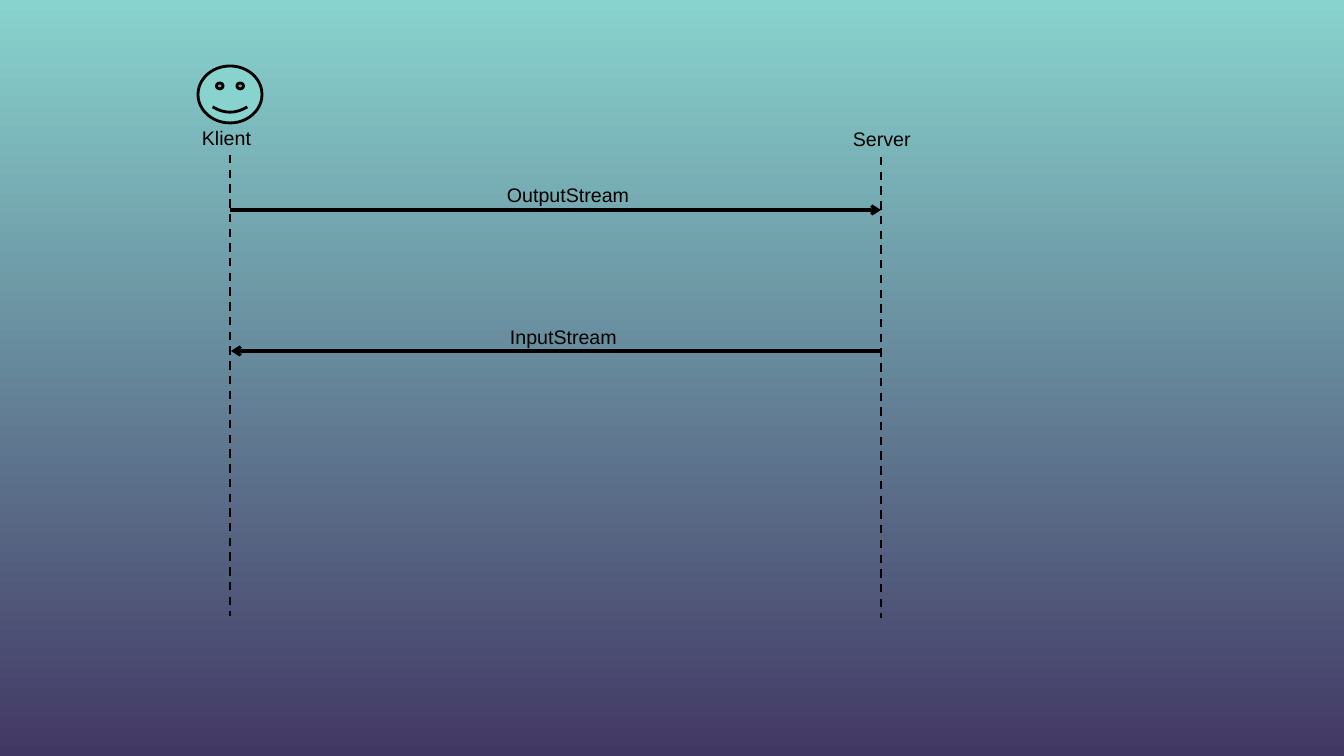
"""Sequence diagram of the streams between a client and a server."""
from dataclasses import dataclass

from pptx import Presentation
from pptx.dml.color import RGBColor
from pptx.enum.dml import MSO_LINE_DASH_STYLE as Dash
from pptx.enum.shapes import MSO_CONNECTOR as Connector, MSO_SHAPE as Preset
from pptx.enum.text import MSO_AUTO_SIZE as AutoSize
from pptx.oxml.ns import qn
from pptx.oxml.xmlchemy import OxmlElement
from pptx.shapes.connector import Connector as Line
from pptx.slide import Slide
from pptx.util import Emu, Pt

BLACK = RGBColor(0x00, 0x00, 0x00)
TURQUOISE = RGBColor(0x88, 0xD3, 0xCE)
PURPLE = RGBColor(0x42, 0x38, 0x64)

SLIDE_WIDTH, SLIDE_HEIGHT = 1344, 756
LIFELINE_LENGTH = 461
LABEL_HEIGHT = 57
LABEL_FORMAT = {"name": "Arial", "size": Pt(14)}


@dataclass(frozen=True)
class Label:
    text: str
    left: int
    top: int
    width: int


@dataclass(frozen=True)
class Participant:
    label: Label
    x: int
    top: int


@dataclass(frozen=True)
class Message:
    label: Label
    start: int
    end: int
    y: int


PARTICIPANTS = (
    Participant(Label("Klient", 192, 121, 69), x=230, top=155),
    Participant(Label("Server", 843, 122, 78), x=881, top=157),
)
MESSAGES = (
    Message(Label("OutputStream", 497, 178, 143), start=230, end=881, y=210),
    Message(Label("InputStream", 500, 320, 128), start=882, end=231, y=351),
)


def px(length: int) -> Emu:
    """Convert pixels to EMU."""
    return Emu(round(length * 12192000 / SLIDE_WIDTH))


def paint_background(slide: Slide) -> None:
    """Fill the slide from turquoise at the top to purple at the bottom."""
    fill = slide.background.fill
    fill.gradient()
    fill.gradient_angle = 270
    for stop, color in zip(fill.gradient_stops, (TURQUOISE, PURPLE)):
        stop.color.rgb = color


def draw_client_face(slide: Slide) -> None:
    """Draw the smiling user above the client lifeline."""
    face = slide.shapes.add_shape(Preset.SMILEY_FACE, px(198), px(66), px(64), px(57))
    face.shadow.inherit = False
    face.fill.solid()
    face.fill.fore_color.rgb = TURQUOISE
    face.line.color.rgb = BLACK
    face.line.width = Pt(2)


def draw_label(slide: Slide, label: Label) -> None:
    """Write one unwrapped line of text."""
    box = slide.shapes.add_textbox(
        px(label.left), px(label.top), px(label.width), px(LABEL_HEIGHT)
    )
    frame = box.text_frame
    frame.word_wrap = False
    frame.auto_size = AutoSize.SHAPE_TO_FIT_TEXT
    run = frame.paragraphs[0].add_run()
    run.text = label.text
    run.font.color.rgb = BLACK
    for attribute, value in LABEL_FORMAT.items():
        setattr(run.font, attribute, value)


def draw_line(
    slide: Slide, start: tuple[int, int], end: tuple[int, int], width: float
) -> Line:
    """Draw a black line without a shadow."""
    line = slide.shapes.add_connector(
        Connector.STRAIGHT, *map(px, start), *map(px, end)
    )
    line.line.color.rgb = BLACK
    line.line.width = Pt(width)
    line._element.spPr.append(OxmlElement("a:effectLst"))
    return line


def draw_participant(slide: Slide, participant: Participant) -> None:
    """Draw a dashed lifeline under its name."""
    x, top = participant.x, participant.top
    lifeline = draw_line(slide, (x, top), (x, top + LIFELINE_LENGTH), 1.5)
    lifeline.line.dash_style = Dash.DASH
    draw_label(slide, participant.label)


def draw_message(slide: Slide, message: Message) -> None:
    """Draw an arrow under its caption."""
    arrow = draw_line(slide, (message.start, message.y), (message.end, message.y), 2.25)
    head = OxmlElement("a:tailEnd")
    head.set("type", "arrow")
    arrow._element.spPr.find(qn("a:ln")).append(head)
    draw_label(slide, message.label)


def main() -> None:
    """Build and save the slide."""
    deck = Presentation()
    deck.slide_width, deck.slide_height = px(SLIDE_WIDTH), px(SLIDE_HEIGHT)
    slide = deck.slides.add_slide(deck.slide_layouts[6])
    paint_background(slide)
    draw_client_face(slide)
    for participant in PARTICIPANTS:
        draw_participant(slide, participant)
    for message in MESSAGES:
        draw_message(slide, message)
    deck.save("out.pptx")


if __name__ == "__main__":
    main()
